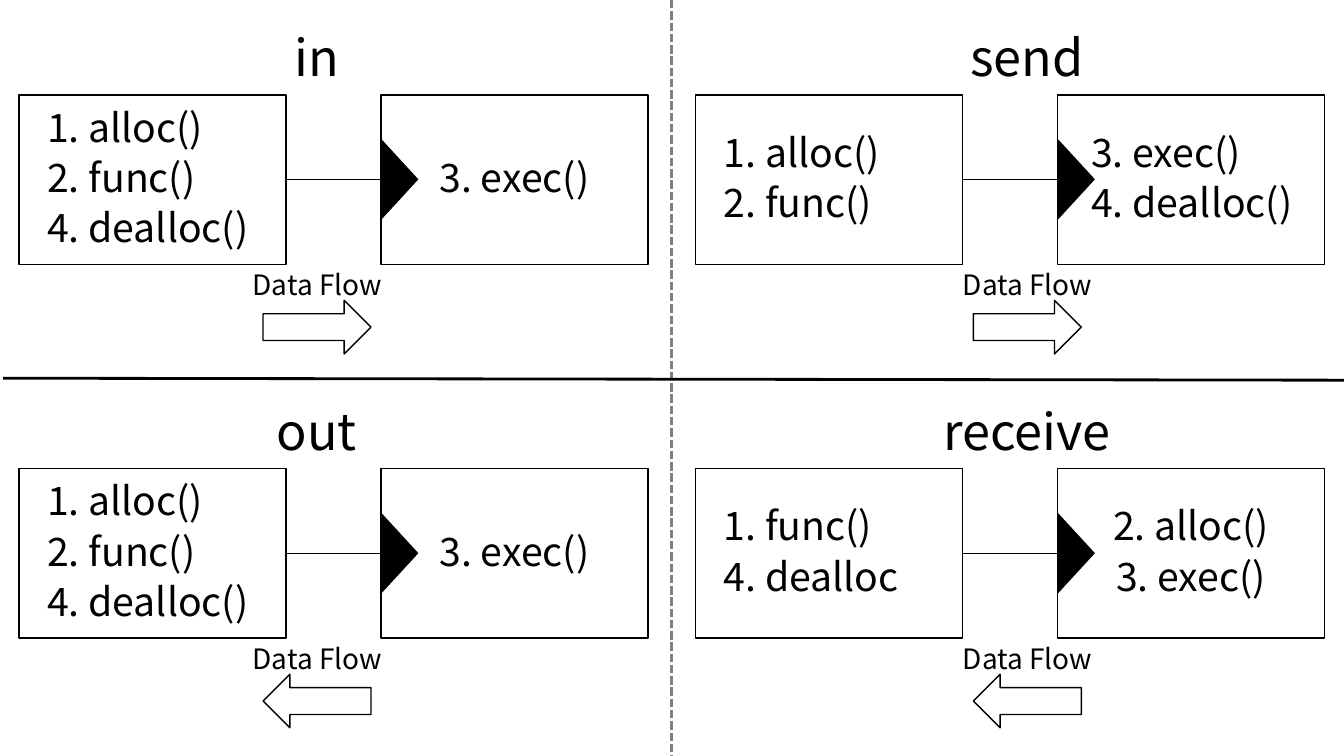
import pptx
import pptx.util
import pptx.dml.color
import pptx.enum.dml
import pptx.enum.shapes
import pptx.enum.text
import pptx.oxml

Cm = pptx.util.Cm
Pt = pptx.util.Pt
KIND = pptx.enum.shapes.MSO_SHAPE
ALIGN = pptx.enum.text.PP_ALIGN
ANCHOR = pptx.enum.text.MSO_ANCHOR
BLACK = pptx.dml.color.RGBColor(0, 0, 0)
WHITE = pptx.dml.color.RGBColor(255, 255, 255)
GRAY = pptx.dml.color.RGBColor(128, 128, 128)
FONT = "Noto Sans CJK JP"

deck = pptx.Presentation()
deck.slide_width, deck.slide_height = Cm(33.87), Cm(19.05)
slide = deck.slides.add_slide(deck.slide_layouts[6])


def draw(kind, left, top, width, height, fill=WHITE, edge=1, lines=(),
         size=28, align=ALIGN.CENTER, anchor=ANCHOR.MIDDLE, indent=0):
    shape = slide.shapes.add_shape(kind, Cm(left), Cm(top), Cm(width), Cm(height))
    shape.shadow.inherit = False
    if fill is None:
        shape.fill.background()
    else:
        shape.fill.solid()
        shape.fill.fore_color.rgb = fill
    if edge:
        shape.line.color.rgb = BLACK
        shape.line.width = Pt(edge)
    else:
        shape.line.fill.background()
    frame = shape.text_frame
    form = {"word_wrap": True, "vertical_anchor": anchor,
            "margin_left": Cm(0.25 + indent), "margin_right": Cm(0.25),
            "margin_top": Cm(0.13), "margin_bottom": Cm(0.13)}
    for name, value in form.items():
        setattr(frame, name, value)
    for i, words in enumerate(lines):
        para = frame.add_paragraph() if i else frame.paragraphs[0]
        gap = Pt(0.2 * size) if i else Pt(0)
        look = {"alignment": align, "line_spacing": 0.9, "space_before": gap}
        for name, value in look.items():
            setattr(para, name, value)
        run = para.add_run()
        run.text = words
        for name, value in {"name": FONT, "size": Pt(size)}.items():
            setattr(run.font, name, value)
        run.font.color.rgb = BLACK
    return shape


def rule(x1, y1, x2, y2, color=BLACK, width=0.75):
    line = slide.shapes.add_connector(
        pptx.enum.shapes.MSO_CONNECTOR.STRAIGHT, Cm(x1), Cm(y1), Cm(x2), Cm(y2))
    line.line.color.rgb = color
    line.line.width = Pt(width)
    props = line.element.spPr
    props.append(pptx.oxml.parse_xml(
        '<a:effectLst xmlns:a="http://schemas.openxmlformats.org/drawingml/2006/main"/>'))
    return line


# Dividers between the four panels
split = rule(16.93, 0, 16.93, 19.05, GRAY, 2)
split.line.dash_style = pptx.enum.dml.MSO_LINE.SQUARE_DOT
rule(33.87, 9.58, 0.08, 9.53, BLACK, 2)

# Panels: title, caller steps, callee steps, callee alignment
LEFT, MID = ALIGN.LEFT, ALIGN.CENTER
panels = [
    ("in", ["1. alloc()", "2. func()", "4. dealloc()"], ["3. exec()"], MID),
    ("send", ["1. alloc()", "2. func()"], ["3. exec()", "4. dealloc()"], LEFT),
    ("out", ["1. alloc()", "2. func()", "4. dealloc()"], ["3. exec()"], MID),
    ("receive", ["1. func()", "4. dealloc"], ["2. alloc()", "3. exec()"], MID),
]
WIDE, HIGH, STEP = 6.73, 4.27, 9.12
INDENT, CLEAR = 0.46, 0.6  # CLEAR keeps the callee steps off the arrowhead

for i, (title, caller, callee, align) in enumerate(panels):
    row, col = divmod(i, 2)
    x, y = 0.48 + 17.05 * col, 2.39 + 9.42 * row
    shift = 17.9 * col
    mid = y + HIGH / 2

    # Title
    draw(KIND.RECTANGLE, 2.67 + shift, y - 1.68, 10.62, 1.68, edge=0,
         lines=[title], size=36, anchor=ANCHOR.TOP)

    # Caller and callee, joined by a call
    draw(KIND.RECTANGLE, x, y, WIDE, HIGH, lines=caller, align=LEFT, indent=INDENT)
    draw(KIND.RECTANGLE, x + STEP, y, WIDE, HIGH, lines=callee, align=align,
         indent=CLEAR if align == LEFT else 0)
    head = draw(KIND.ISOSCELES_TRIANGLE, x + STEP - 0.52, mid - 0.46, 1.98, 0.91,
                fill=BLACK, edge=0.75)
    head.rotation = 90
    rule(x + WIDE, mid, x + STEP, mid)

    # Data flow
    flow = draw(KIND.RIGHT_ARROW, 6.63 + shift, y + 5.18, 2.72, 1.35)
    flow.rotation = 180 * row
    draw(KIND.RECTANGLE, 5.38 + shift, y + 4.26, 5.23, 1.14, fill=None, edge=0,
         lines=["Data Flow"], size=20)

deck.save("out.pptx")
